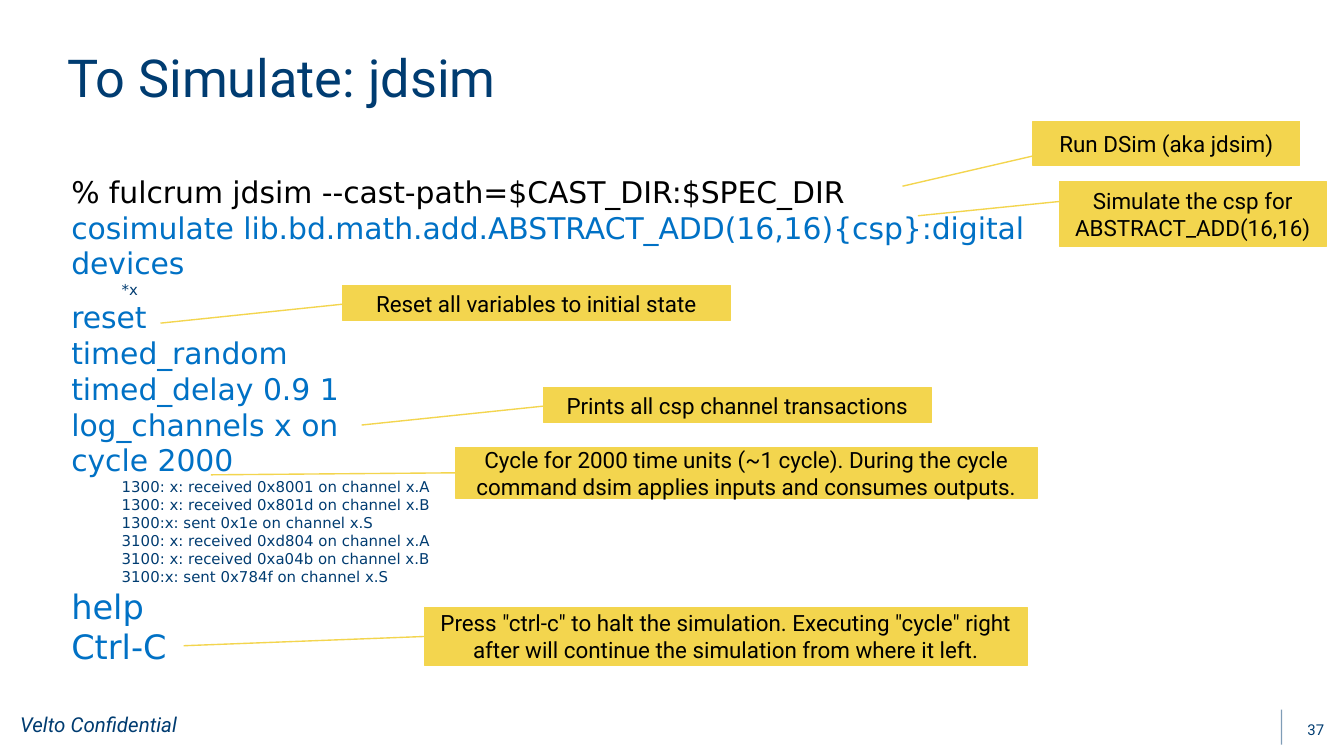
"""Build the jdsim simulation slide with its annotated command listing."""
from dataclasses import dataclass

from lxml.etree import SubElement
from pptx import Presentation
from pptx.dml.color import RGBColor
from pptx.enum.shapes import MSO_CONNECTOR, MSO_SHAPE
from pptx.enum.text import MSO_ANCHOR, PP_ALIGN
from pptx.oxml.ns import qn
from pptx.slide import Slide
from pptx.text.text import TextFrame, _Paragraph
from pptx.util import Pt


@dataclass(frozen=True)
class Theme:
    navy: RGBColor = RGBColor(0x00, 0x3C, 0x71)
    blue: RGBColor = RGBColor(0x00, 0x71, 0xC5)
    yellow: RGBColor = RGBColor(0xF3, 0xD5, 0x4E)
    black: RGBColor = RGBColor(0, 0, 0)
    font: str = "Roboto"
    code_font: str = "DejaVu Sans"
    title: float = 28
    closing: float = 18
    command: float = 16
    note: float = 12
    footer: float = 11
    small: float = 8
    line: float = 0.75
    code_leading: float = 1.2
    output_indent: float = 27


@dataclass(frozen=True)
class Box:
    left: float
    top: float
    width: float
    height: float


@dataclass(frozen=True)
class CodeLine:
    text: str
    size: float
    color: RGBColor
    indent: float = 0


@dataclass(frozen=True)
class Callout:
    text: str
    box: Box
    pointer: tuple[float, float, float, float]


THEME = Theme()


def command(text: str, size: float = THEME.command, color: RGBColor = THEME.blue) -> CodeLine:
    return CodeLine(text, size, color)


def output(text: str) -> CodeLine:
    return CodeLine(text, THEME.small, THEME.navy, THEME.output_indent)


LISTING = [
    command("% fulcrum jdsim --cast-path=$CAST_DIR:$SPEC_DIR", color=THEME.black),
    command("cosimulate lib.bd.math.add.ABSTRACT_ADD(16,16){csp}:digital"),
    command("devices"),
    output("*x"),
    command("reset"),
    command("timed_random"),
    command("timed_delay 0.9 1"),
    command("log_channels x on"),
    command("cycle 2000"),
    output("1300: x: received 0x8001 on channel x.A"),
    output("1300: x: received 0x801d on channel x.B"),
    output("1300:x: sent 0x1e on channel x.S"),
    output("3100: x: received 0xd804 on channel x.A"),
    output("3100: x: received 0xa04b on channel x.B"),
    output("3100:x: sent 0x784f on channel x.S"),
    command("help", THEME.closing),
    command("Ctrl-C", THEME.closing),
]

SHORT_POINTER = (0.53, 0, 1.07, -0.47)
CALLOUTS = [
    Callout("Run DSim (aka jdsim)", Box(553.5, 65, 142.8, 23.5), (0.79, 0, 1.48, -0.49)),
    Callout("Simulate the csp for ABSTRACT_ADD(16,16)", Box(567.5, 97.2, 143, 34.8),
            (0.31, 0, 0.53, -0.53)),
    Callout("Prints all csp channel transactions", Box(291.3, 207.6, 207.6, 18.8), SHORT_POINTER),
    Callout("Cycle for 2000 time units (~1 cycle). During the cycle command dsim applies "
            "inputs and consumes outputs.", Box(244, 239.8, 311.8, 27), (0.5, 0, 0.54, -0.42)),
    Callout('Press "ctrl-c" to halt the simulation. Executing "cycle" right after will '
            "continue the simulation from where it left.", Box(227.5, 325.5, 322.8, 31),
            (0.5, 0, 0.66, -0.4)),
    Callout("Reset all variables to initial state", Box(183.6, 153, 207.6, 18.8), SHORT_POINTER),
]


def add_run(paragraph: _Paragraph, text: str, size: float, color: RGBColor,
            font: str = THEME.font, italic: bool = False) -> None:
    run = paragraph.add_run()
    run.text = text
    run.font.name = font
    run.font.size = Pt(size)
    run.font.color.rgb = color
    run.font.italic = italic


def add_text_box(slide: Slide, box: Box, wrap: bool = True) -> TextFrame:
    shape = slide.shapes.add_textbox(Pt(box.left), Pt(box.top), Pt(box.width), Pt(box.height))
    frame = shape.text_frame
    frame.word_wrap = wrap
    frame.margin_left = frame.margin_right = frame.margin_top = frame.margin_bottom = 0
    return frame


def add_footer(slide: Slide) -> None:
    divider = slide.shapes.add_connector(
        MSO_CONNECTOR.STRAIGHT, Pt(686.5), Pt(380.2), Pt(686.5), Pt(399))
    divider.line.color.rgb = THEME.navy
    divider.line.width = Pt(THEME.line)
    properties = divider._element.spPr
    color = properties.find(".//" + qn("a:srgbClr"))
    SubElement(color, qn("a:alpha"), val="50000")
    SubElement(properties, qn("a:effectLst"))

    notice = add_text_box(slide, Box(10.8, 381.6, 86.4, 13.7), wrap=False)
    add_run(notice.paragraphs[0], "Velto Confidential", THEME.footer, THEME.navy, italic=True)

    number = add_text_box(slide, Box(541.4, 380.2, 168, 21.6))
    number.vertical_anchor = MSO_ANCHOR.MIDDLE
    number.paragraphs[0].alignment = PP_ALIGN.RIGHT
    add_run(number.paragraphs[0], "37", THEME.small, THEME.navy)


def add_listing(slide: Slide, box: Box, lines: list[CodeLine]) -> None:
    frame = add_text_box(slide, box)
    for index, line in enumerate(lines):
        paragraph = frame.add_paragraph() if index else frame.paragraphs[0]
        paragraph.line_spacing = Pt(line.size * THEME.code_leading)
        if line.indent:
            paragraph.level = 1
            paragraph._p.get_or_add_pPr().set("marL", str(Pt(line.indent)))
        add_run(paragraph, line.text, line.size, line.color, THEME.code_font)


def add_callout(slide: Slide, callout: Callout) -> None:
    box = callout.box
    shape = slide.shapes.add_shape(
        MSO_SHAPE.LINE_CALLOUT_1, Pt(box.left), Pt(box.top), Pt(box.width), Pt(box.height))
    for index, value in enumerate(callout.pointer):
        shape.adjustments[index] = value
    shape.shadow.inherit = False
    shape.fill.solid()
    shape.fill.fore_color.rgb = THEME.yellow
    shape.line.color.rgb = THEME.yellow
    shape.line.width = Pt(THEME.line)
    frame = shape.text_frame
    frame.word_wrap = True
    frame.vertical_anchor = MSO_ANCHOR.MIDDLE
    frame.paragraphs[0].alignment = PP_ALIGN.CENTER
    add_run(frame.paragraphs[0], callout.text, THEME.note, THEME.black)


def main() -> None:
    presentation = Presentation()
    presentation.slide_width = Pt(720)
    presentation.slide_height = Pt(405)
    slide = presentation.slides.add_slide(presentation.slide_layouts[6])
    add_footer(slide)
    title = add_text_box(slide, Box(36, 24.5, 648, 68.4))
    add_run(title.paragraphs[0], "To Simulate: jdsim", THEME.title, THEME.navy)
    add_listing(slide, Box(38.2, 92.9, 648, 270), LISTING)
    for callout in CALLOUTS:
        add_callout(slide, callout)
    presentation.save("out.pptx")


if __name__ == "__main__":
    main()
